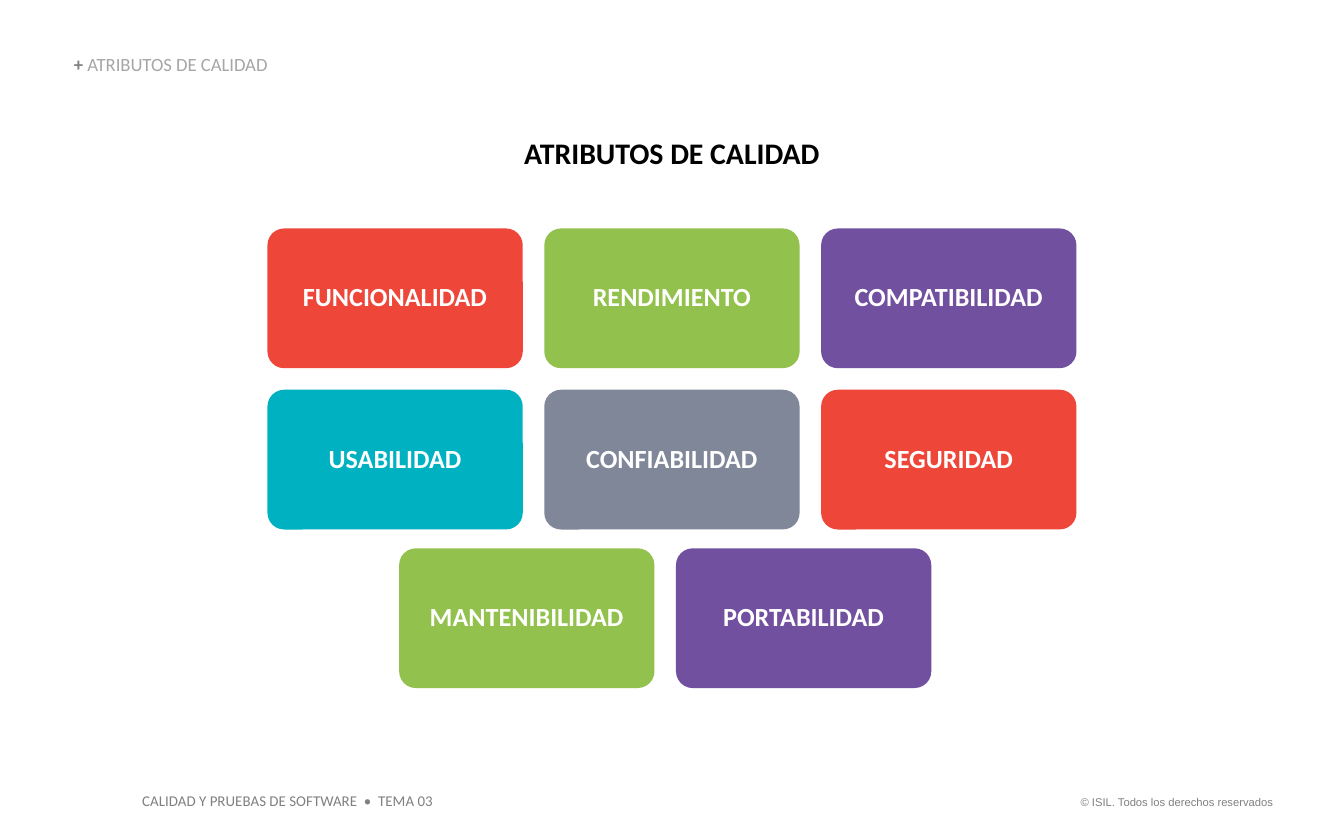
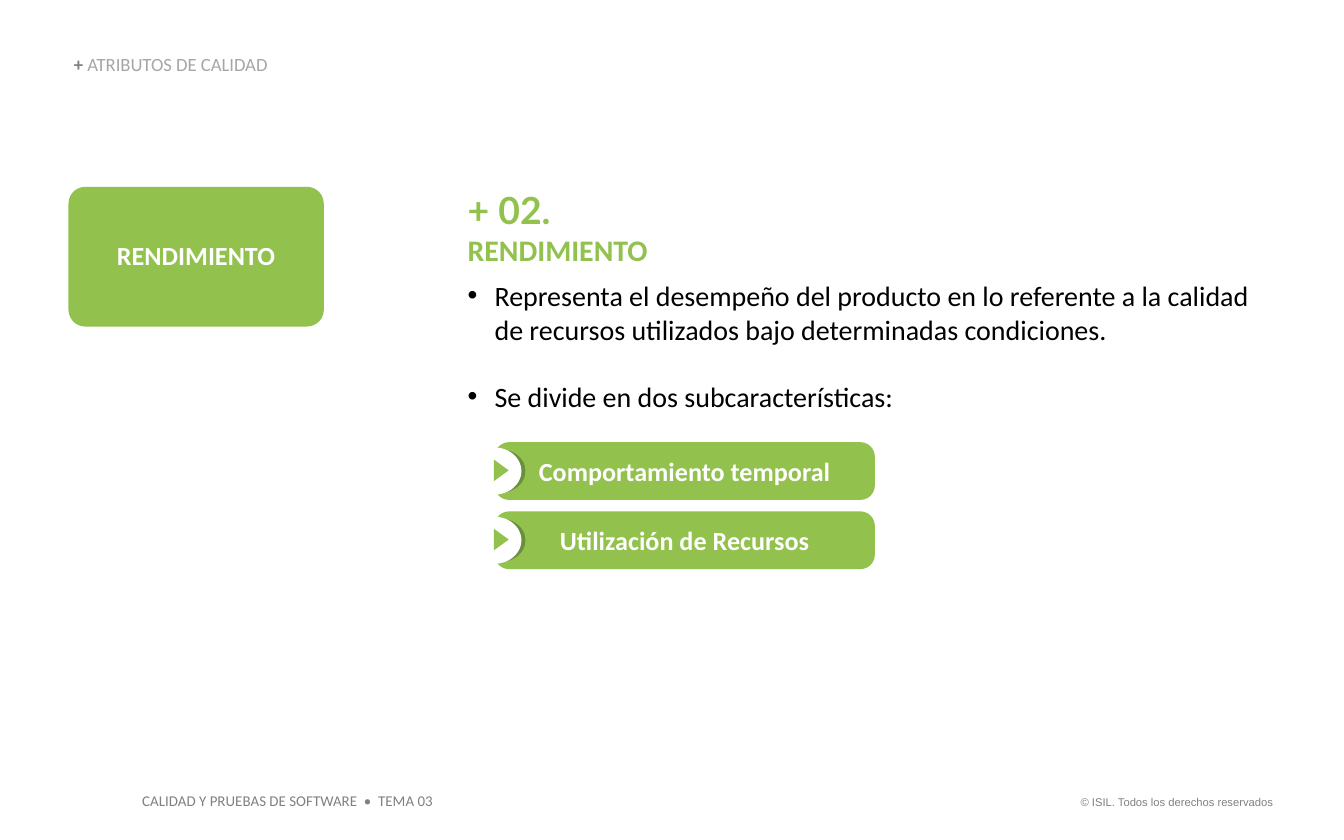
import pptx
import pptx.util
import pptx.dml.color
import pptx.enum.shapes
import pptx.enum.text
import pptx.oxml
import pptx.oxml.ns

# Shared look
HUES = {
    "red": "EE4639", "green": "92C14E", "violet": "7150A0", "teal": "00B1C2",
    "slate": "808799", "moss": "6A8F3A", "black": "000000", "white": "FFFFFF",
    "gray": "808080", "pale": "A6A6A6",
}
WIDTH, HEIGHT = pptx.util.Inches(10), pptx.util.Inches(6.25)
COLS, ROWS = 200, 125
TILE_W, TILE_H, TILE_STEP = 38, 20.8, 41.2
PILL_W, PILL_H, PILL_STEP = 56.6, 8.6, 10.3

FORM = pptx.enum.shapes.MSO_SHAPE
ALIGN = pptx.enum.text.PP_ALIGN
ANCHOR = pptx.enum.text.MSO_ANCHOR


def place(x, y, w, h):
    """Turn grid columns and rows into slide lengths."""
    col, row = WIDTH / COLS, HEIGHT / ROWS
    return int(x * col), int(y * row), int(w * col), int(h * row)


def tint(name):
    return pptx.dml.color.RGBColor.from_string(HUES[name])


def style(font, size, hue, bold=False, face="Calibri"):
    font.size = pptx.util.Pt(size)
    font.name = face
    font.bold = bold
    font.color.rgb = tint(hue)


def add_run(para, text, *look):
    run = para.add_run()
    run.text = text
    style(run.font, *look)


def add_box(slide, spot, wrap=True, inset=0):
    frame = slide.shapes.add_textbox(*place(*spot)).text_frame
    frame.word_wrap = wrap
    if inset is not None:
        frame.margin_left = frame.margin_right = inset
        frame.margin_top = frame.margin_bottom = inset
    return frame


def add_line(slide, spot, text, look, align=ALIGN.LEFT, **box):
    para = add_box(slide, spot, **box).paragraphs[0]
    para.text = text
    para.alignment = align
    style(para.font, *look)


def add_form(shapes, form, spot, hue):
    shape = shapes.add_shape(form, *place(*spot))
    shape.shadow.inherit = False
    shape.fill.solid()
    shape.fill.fore_color.rgb = tint(hue)
    shape.line.fill.background()
    return shape


def add_card(shapes, spot, hue, text, curve, pitch=None):
    """Rounded box with a bold white label."""
    card = add_form(shapes, FORM.ROUNDED_RECTANGLE, spot, hue)
    card.adjustments[0] = curve
    card.text_frame.word_wrap = True
    card.text_frame.vertical_anchor = ANCHOR.MIDDLE
    para = card.text_frame.paragraphs[0]
    para.text = text
    para.alignment = ALIGN.CENTER
    para.line_spacing = pitch
    style(para.font, 14, "white", True)


def add_tile(slide, x, y, hue, text):
    add_card(slide.shapes, (x, y, TILE_W, TILE_H), hue, text, 0.12, 0.9)


def add_pill(slide, x, y, text):
    """Label bar with a round arrow mark at its left end."""
    shapes = slide.shapes.add_group_shape().shapes
    add_card(shapes, (x, y, PILL_W, PILL_H), "green", text, 0.25)
    add_form(shapes, FORM.OVAL, (x - 2.8, y + 1.1, 7.4, 6.4), "moss")
    add_form(shapes, FORM.OVAL, (x - 4, y + 0.8, 8, 7), "white")
    mark = add_form(shapes, FORM.ISOSCELES_TRIANGLE,
                    (x - 0.6, y + 3.1, 3.2, 2.2), "green")
    mark.rotation = 90


def add_point(frame, text, after=0):
    para = frame.add_paragraph()
    para.text = text
    props = para._p.get_or_add_pPr()
    indent = pptx.util.Inches(0.2)
    props.set("marL", str(indent))
    props.set("indent", str(-indent))
    space = pptx.oxml.ns.nsdecls("a")
    for part in (f'<a:buClr {space}><a:srgbClr val="{HUES["black"]}"/></a:buClr>',
                 f'<a:buFont {space} typeface="Arial"/>',
                 f'<a:buChar {space} char="•"/>'):
        props.append(pptx.oxml.parse_xml(part))
    para.space_after = pptx.util.Pt(after)
    style(para.font, 15, "black")


def add_page(deck):
    """Blank slide with the shared header and footers."""
    slide = deck.slides.add_slide(deck.slide_layouts[6])
    add_line(slide, (157.6, 117.4, 33.8, 4), "© ISIL. Todos los derechos reservados",
             (6, "gray", False, "Arial"), ALIGN.RIGHT, wrap=False, inset=None)
    add_line(slide, (19.2, 116.8, 47.4, 4.8),
             "CALIDAD Y PRUEBAS DE SOFTWARE  •  TEMA 03",
             (8, "gray"), wrap=False, inset=None)
    head = add_box(slide, (11, 8.2, 72.2, 3))
    head.vertical_anchor = ANCHOR.BOTTOM
    para = head.paragraphs[0]
    para.line_spacing = 0.9
    add_run(para, "+ ", 10, "gray", True)
    add_run(para, "ATRIBUTOS DE CALIDAD", 10, "pale")
    return slide


def build_map(deck):
    slide = add_page(deck)
    add_line(slide, (11, 20, 178, 5.4), "ATRIBUTOS DE CALIDAD",
             (16, "black", True), ALIGN.CENTER)
    # Rows of tiles: left, top, then hue and label of each
    bands = [
        (39.8, 34, [("red", "FUNCIONALIDAD"), ("green", "RENDIMIENTO"),
                    ("violet", "COMPATIBILIDAD")]),
        (39.8, 58, [("teal", "USABILIDAD"), ("slate", "CONFIABILIDAD"),
                    ("red", "SEGURIDAD")]),
        (59.4, 81.6, [("green", "MANTENIBILIDAD"), ("violet", "PORTABILIDAD")]),
    ]
    for left, top, tiles in bands:
        for i, (hue, text) in enumerate(tiles):
            add_tile(slide, left + i * TILE_STEP, top, hue, text)


def build_topic(deck):
    slide = add_page(deck)
    # Heading and points
    frame = add_box(slide, (69.6, 27.8, 120.2, 34))
    title = frame.paragraphs[0]
    title.space_after = pptx.util.Pt(6)
    add_run(title, "+ 02.", 20, "green", True, "Lato")
    title.add_line_break()
    add_run(title, "RENDIMIENTO", 16, "green", True)
    add_point(frame, "Representa el desempeño del producto en lo referente a la calidad "
              "de recursos utilizados bajo determinadas condiciones.", 18)
    add_point(frame, "Se divide en dos subcaracterísticas:")
    # Tile and pills
    add_tile(slide, 10.2, 27.8, "green", "RENDIMIENTO")
    for i, text in enumerate(["Comportamiento temporal", "Utilización de Recursos"]):
        add_pill(slide, 73.6, 65.8 + i * PILL_STEP, text)


def main():
    deck = pptx.Presentation()
    deck.slide_width, deck.slide_height = WIDTH, HEIGHT
    build_map(deck)
    build_topic(deck)
    deck.save("out.pptx")


if __name__ == "__main__":
    main()
